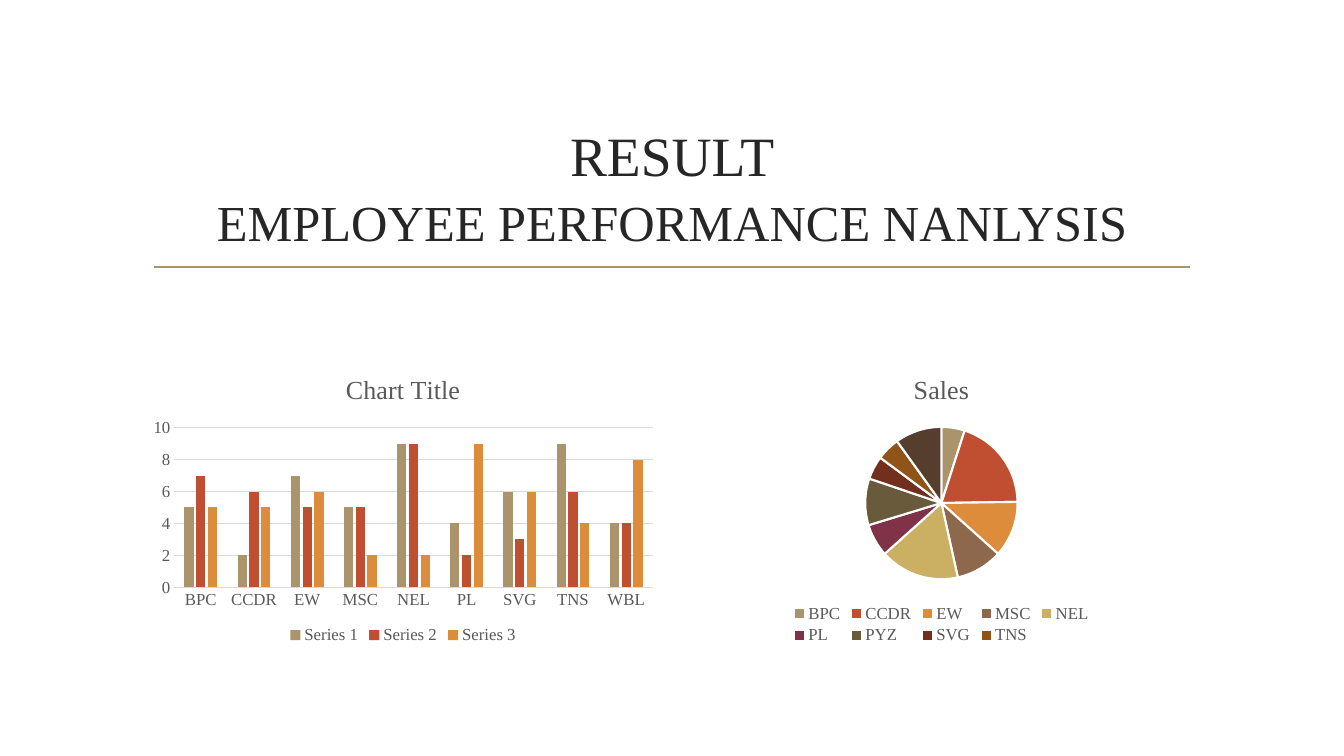
from lxml import etree
from pptx import Presentation
from pptx.chart.data import CategoryChartData
from pptx.dml.color import RGBColor
from pptx.enum.chart import XL_CHART_TYPE, XL_LEGEND_POSITION, XL_TICK_MARK
from pptx.enum.shapes import MSO_CONNECTOR
from pptx.enum.text import MSO_ANCHOR, PP_ALIGN
from pptx.oxml.ns import qn
from pptx.util import Pt

COLUMN = XL_CHART_TYPE.COLUMN_CLUSTERED
PIE = XL_CHART_TYPE.PIE
BOTTOM = XL_LEGEND_POSITION.BOTTOM
NO_TICK = XL_TICK_MARK.NONE
STRAIGHT = MSO_CONNECTOR.STRAIGHT
MIDDLE = MSO_ANCHOR.MIDDLE
CENTER = PP_ALIGN.CENTER

FONT = "Times New Roman"
COLORS = {
    "ink": "262626", "gray": "595959", "grid": "D9D9D9", "white": "FFFFFF",
    "sand": "AB946B", "red": "C04F32", "orange": "DD8C3C", "brown": "8E684C",
    "gold": "CBAF62", "plum": "803348", "olive": "6A5A3C", "rust": "732F1E",
    "amber": "905419", "dark": "553E2E",
}
HUES = ["sand", "red", "orange", "brown", "gold",
        "plum", "olive", "rust", "amber", "dark"]


def color(name):
    return RGBColor.from_string(COLORS[name])


class Board:
    def __init__(self, slide):
        self.slide = slide

    def style(self, font, size, hue):
        font.name = FONT
        font.size = Pt(size)
        font.bold = False
        font.color.rgb = color(hue)

    def rule(self, x1, x2, y, hue, width):
        line = self.slide.shapes.add_connector(
            STRAIGHT, Pt(x1), Pt(y), Pt(x2), Pt(y))
        line.line.color.rgb = color(hue)
        line.line.width = Pt(width)
        etree.SubElement(line._element.spPr, qn("a:effectLst"))

    def text(self, box, lines):
        frame = self.slide.shapes.add_textbox(*map(Pt, box)).text_frame
        frame.word_wrap = True
        frame.vertical_anchor = MIDDLE
        frame.margin_top = Pt(9.6)
        para = frame.paragraphs[0]
        para.alignment = CENTER
        para.line_spacing = 1.06
        for i, (words, size) in enumerate(lines):
            if i:
                para.add_line_break()
            run = para.add_run()
            run.text = words
            self.style(run.font, size, "ink")

    def chart(self, kind, box, title, cats, series):
        data = CategoryChartData()
        data.categories = cats
        for name, vals in series:
            data.add_series(name, vals)
        chart = self.slide.shapes.add_chart(kind, *map(Pt, box), data).chart
        self.style(chart.font, 12, "gray")
        chart.has_title = True
        run = chart.chart_title.text_frame.paragraphs[0].add_run()
        run.text = title
        self.style(run.font, 18.6, "gray")
        chart.has_legend = True
        chart.legend.position = BOTTOM
        chart.legend.include_in_layout = False
        self.style(chart.legend.font, 12, "gray")
        return chart

    def columns(self, box, title, cats, series):
        chart = self.chart(COLUMN, box, title, cats, series)
        plot = chart.plots[0]
        plot.vary_by_categories = False
        plot.gap_width = 219
        plot.overlap = -27
        for part, hue in zip(plot.series, HUES):
            part.format.fill.solid()
            part.format.fill.fore_color.rgb = color(hue)
        cat, val = chart.category_axis, chart.value_axis
        for axis in (cat, val):
            axis.major_tick_mark = axis.minor_tick_mark = NO_TICK
            self.style(axis.tick_labels.font, 12, "gray")
        val.minimum_scale, val.maximum_scale, val.major_unit = 0, 10, 2
        val.format.line.fill.background()
        for line in (cat.format.line, val.major_gridlines.format.line):
            line.color.rgb = color("grid")
            line.width = Pt(0.75)

    def pie(self, box, title, cats, vals):
        chart = self.chart(PIE, box, title, cats, [(title, vals)])
        plot = chart.plots[0]
        plot.vary_by_categories = True
        place = chart.legend._element.find(qn("c:legendPos"))
        for i, (cat, hue) in enumerate(zip(cats, HUES)):
            form = plot.series[0].points[i].format
            form.fill.solid()
            form.fill.fore_color.rgb = color(hue)
            form.line.color.rgb = color("white")
            form.line.width = Pt(1.5)
            # A slice without a name stays out of the legend
            if not cat:
                entry = etree.Element(qn("c:legendEntry"))
                etree.SubElement(entry, qn("c:idx")).set("val", str(i))
                etree.SubElement(entry, qn("c:delete")).set("val", "1")
                place.addnext(entry)


def main():
    deck = Presentation()
    deck.slide_width, deck.slide_height = Pt(960), Pt(540)
    board = Board(deck.slides.add_slide(deck.slide_layouts[6]))

    # Heading
    board.rule(110.2, 850.3, 190.8, "sand", 1.25)
    board.text((102.2, 77, 756, 103),
               [("RESULT", 39.6), ("EMPLOYEE PERFORMANCE NANLYSIS", 36)])

    # Scores by group
    top, wide, high = 255.6, 371.5, 207.4
    board.columns(
        (102.2, top, wide, high), "Chart Title",
        ["BPC", "CCDR", "EW", "MSC", "NEL", "PL", "SVG", "TNS", "WBL"],
        [("Series 1", [5, 2, 7, 5, 9, 4, 6, 9, 4]),
         ("Series 2", [7, 6, 5, 5, 9, 2, 3, 6, 4]),
         ("Series 3", [5, 5, 6, 2, 2, 9, 6, 4, 8])])

    # Share of sales
    board.pie(
        (486.7, top, wide, high), "Sales",
        ["BPC", "CCDR", "EW", "MSC", "NEL", "PL", "PYZ", "SVG", "TNS", ""],
        [5, 20, 12, 10, 17, 7, 10, 5, 5, 10])

    deck.save("out.pptx")


if __name__ == "__main__":
    main()
